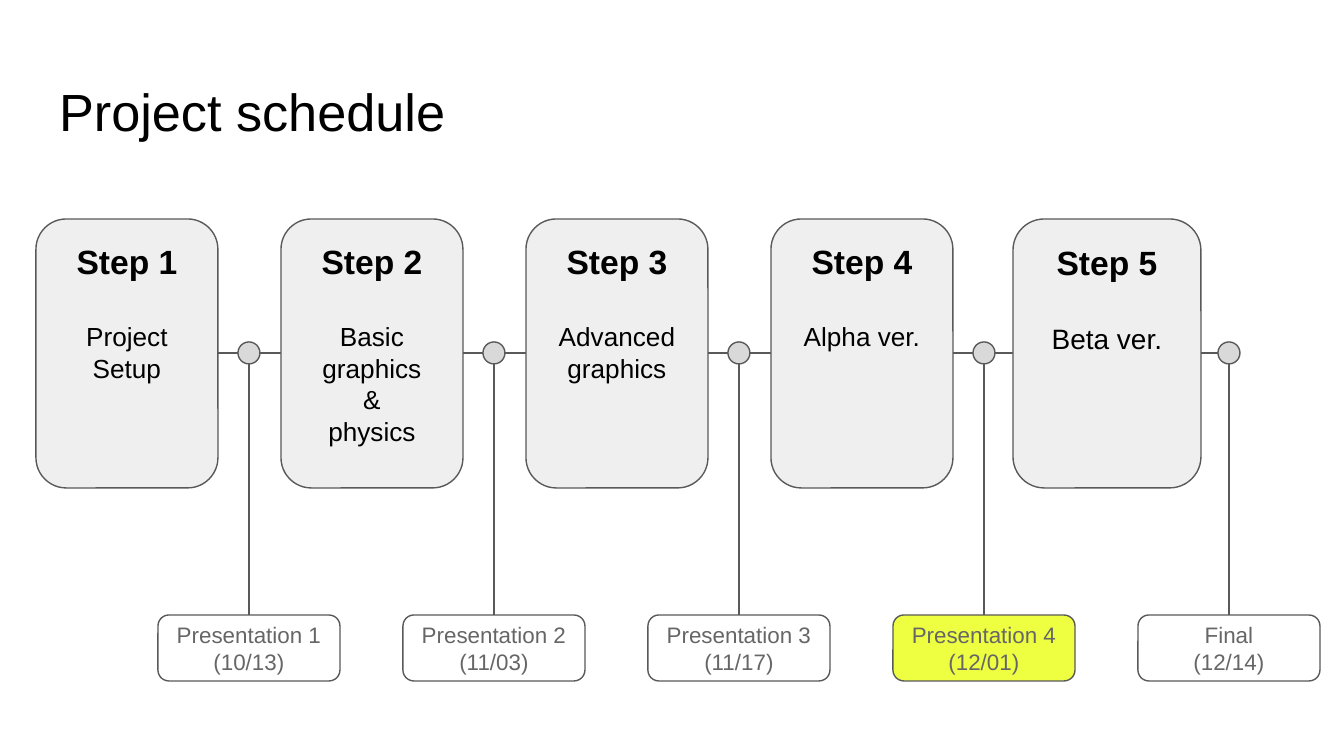
from lxml.etree import SubElement
from pptx import Presentation
from pptx.dml.color import RGBColor
from pptx.enum.shapes import MSO_CONNECTOR, MSO_SHAPE
from pptx.enum.text import MSO_ANCHOR, PP_ALIGN
from pptx.oxml.ns import qn
from pptx.util import Emu, Pt

COLORS = {
    "text": "000000",
    "muted": "666666",
    "outline": "595959",
    "card": "EFEFEF",
    "dot": "D9D9D9",
    "highlight": "EEFF41",
}
SCALE = 914400 / 134.4
PITCH = 245

STEPS = [
    ("Step 1", ["Project", "Setup"]),
    ("Step 2", ["Basic graphics", "&", "physics"]),
    ("Step 3", ["Advanced graphics"]),
    ("Step 4", ["Alpha ver."]),
    ("Step 5", ["Beta ver."]),
]
MILESTONES = [
    ("Presentation 1", "(10/13)"),
    ("Presentation 2", "(11/03)"),
    ("Presentation 3", "(11/17)"),
    ("Presentation 4", "(12/01)"),
    ("Final", "(12/14)"),
]


def px(length):
    return Emu(round(length * SCALE))


def rgb(name):
    return RGBColor.from_string(COLORS[name])


class ScheduleSlide:
    font = "Arial"
    line_width = Pt(0.75)
    inset = Pt(7.2)

    def __init__(self, deck):
        self.slide = deck.slides.add_slide(deck.slide_layouts[6])

    def prepare(self, frame, anchor=MSO_ANCHOR.TOP):
        frame.word_wrap = True
        frame.vertical_anchor = anchor
        frame.margin_left = frame.margin_right = self.inset
        frame.margin_top = frame.margin_bottom = self.inset

    def add_text(self, paragraph, words, size, color="text", bold=False, align=PP_ALIGN.CENTER):
        paragraph.alignment = align
        run = paragraph.add_run()
        run.text = words
        run.font.name = self.font
        run.font.size = Pt(size)
        run.font.bold = bold
        run.font.color.rgb = rgb(color)

    def title(self, words, left, top, width, height):
        frame = self.slide.shapes.add_textbox(px(left), px(top), px(width), px(height)).text_frame
        self.prepare(frame)
        self.add_text(frame.paragraphs[0], words, 28, align=PP_ALIGN.LEFT)

    def line(self, x1, y1, x2, y2):
        connector = self.slide.shapes.add_connector(
            MSO_CONNECTOR.STRAIGHT, px(x1), px(y1), px(x2), px(y2))
        connector.line.color.rgb = rgb("outline")
        connector.line.width = self.line_width
        SubElement(connector._element.spPr, qn("a:effectLst"))

    def shape(self, preset, left, top, width, height, fill=None):
        shape = self.slide.shapes.add_shape(preset, px(left), px(top), px(width), px(height))
        shape.shadow.inherit = False
        shape.line.color.rgb = rgb("outline")
        shape.line.width = self.line_width
        if fill:
            shape.fill.solid()
            shape.fill.fore_color.rgb = rgb(fill)
        else:
            shape.fill.background()
        return shape

    def step(self, heading, details, left, width, size):
        card = self.shape(MSO_SHAPE.ROUNDED_RECTANGLE, left, 219, width, 269, "card")
        frame = card.text_frame
        self.prepare(frame)
        self.add_text(frame.paragraphs[0], heading, 18, bold=True)
        for index, detail in enumerate(details):
            paragraph = frame.add_paragraph()
            if index == 0:
                paragraph.space_before = Pt(21)
            self.add_text(paragraph, detail, size)

    def milestone(self, name, date, center, fill):
        self.shape(MSO_SHAPE.OVAL, center - 11, 342, 22, 22, "dot")
        self.line(center, 364, center, 615)
        label = self.shape(MSO_SHAPE.ROUNDED_RECTANGLE, center - 91, 615, 182, 66, fill)
        frame = label.text_frame
        self.prepare(frame, MSO_ANCHOR.MIDDLE)
        self.add_text(frame.paragraphs[0], name, 12, "muted")
        self.add_text(frame.add_paragraph(), date, 12, "muted")


def main():
    deck = Presentation()
    deck.slide_width, deck.slide_height = px(1344), px(756)
    schedule = ScheduleSlide(deck)
    schedule.title("Project schedule", 46, 66, 1253, 84)
    schedule.line(217, 353, 1219, 353)
    for index, (heading, details) in enumerate(STEPS):
        is_last = index == len(STEPS) - 1
        left, width, size = (1013, 188, 15) if is_last else (36 + index * PITCH, 182, 14)
        schedule.step(heading, details, left, width, size)
    for index, (name, date) in enumerate(MILESTONES):
        fill = "highlight" if name == "Presentation 4" else None
        schedule.milestone(name, date, 249 + index * PITCH, fill)
    deck.save("out.pptx")


if __name__ == "__main__":
    main()
